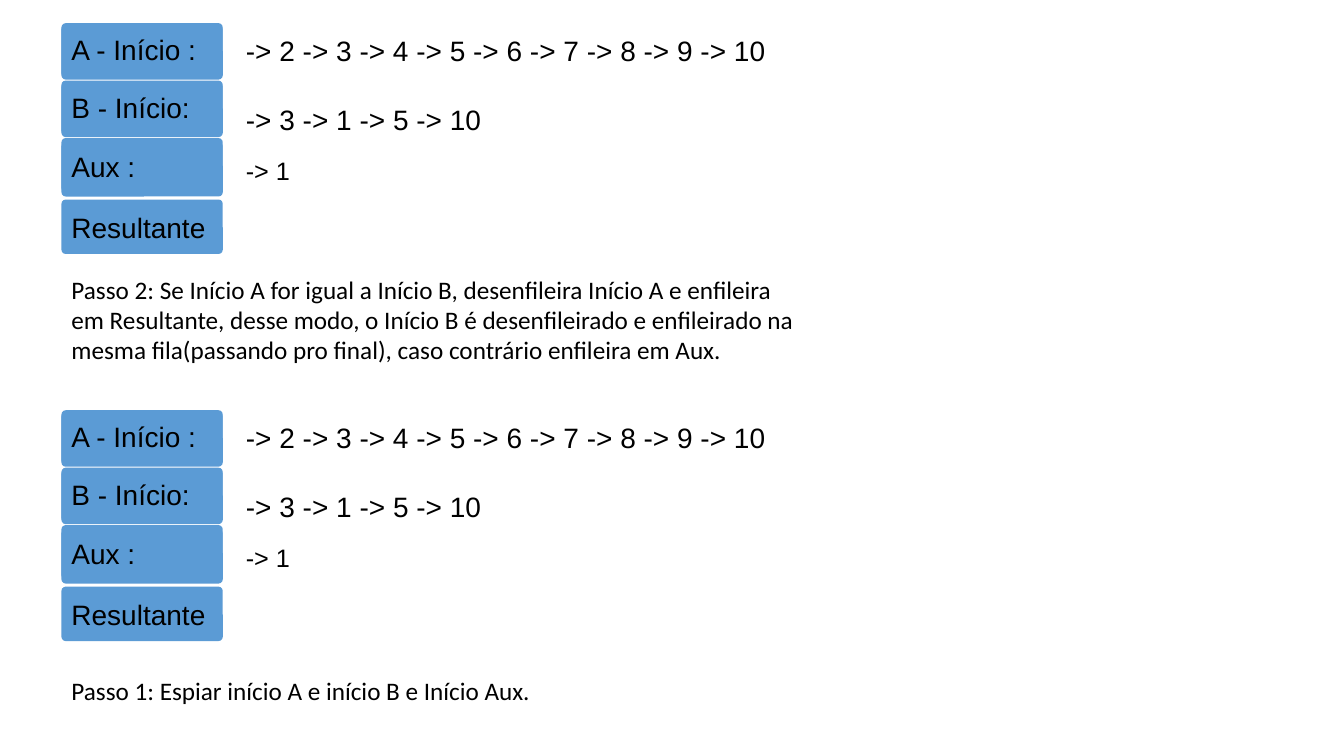
from pptx import Presentation
from pptx import util as u
from pptx.dml import color
from pptx.enum import shapes, text

BLUE, BLACK = "5B9BD5", "000000"
LEFT, WIDE, HIGH = 0.61, 1.6, 0.54
LIST_X = 2.34
STEP = 3.84  # distance between the two queue panels

# Tops within a panel: the back layer, then the front layer
PLATES = [1.98, 0.23, 0.8, 1.37, 0.25, 0.82, 1.41]
LABELS = [
    ("Aux :", 1.43, 1.07),
    ("A - Início :", 0.27, WIDE),
    ("B - Início:", 0.85, WIDE),
    ("Resultante", 2.04, WIDE),
]
QUEUES = [
    ("-> 2 -> 3 -> 4 -> 5 -> 6 -> 7 -> 8 -> 9 -> 10", 0.28, 6.04, {}),
    ("-> 3 -> 1 -> 5 -> 10", 0.97, 2.61, {}),
    ("-> 1", 1.49, 0.71, {"size": 18, "high": 0.4, "wrap": False}),
]
NOTES = [
    ("Passo 2: Se Início A for igual a Início B, desenfileira Início A e "
     "enfileira em Resultante, desse modo, o Início B é desenfileirado e "
     "enfileirado na mesma fila(passando pro final), caso contrário "
     "enfileira em Aux.", 2.67, 7.51, 1.01),
    ("Passo 1: Espiar início A e início B e Início Aux.", 6.65, 4.88, 0.4),
]


def rgb(code):
    return color.RGBColor.from_string(code)


def box(x, y, w, h):
    return [u.Inches(v) for v in (x, y, w, h)]


def write(home, words, x, y, w, high=0.44, size=20, face="Arial", wrap=True):
    frame = home.add_textbox(*box(x, y, w, high)).text_frame
    frame.word_wrap = wrap
    frame.auto_size = text.MSO_AUTO_SIZE.SHAPE_TO_FIT_TEXT
    run = frame.paragraphs[0].add_run()
    run.text = words
    run.font.size = u.Pt(size)
    run.font.name = face
    run.font.color.rgb = rgb(BLACK)


def plate(home, y):
    shape = home.add_shape(shapes.MSO_SHAPE.ROUNDED_RECTANGLE,
                           *box(LEFT, y, WIDE, HIGH))
    shape.adjustments[0] = 0.078
    shape.shadow.inherit = False
    shape.fill.solid()
    shape.fill.fore_color.rgb = rgb(BLUE)
    shape.line.fill.background()


def panel(home, top):
    # Labelled plates, kept together as one group
    group = home.add_group_shape().shapes
    for y in PLATES:
        plate(group, top + y)
    for words, y, w in LABELS:
        write(group, words, LEFT, top + y, w)
    # Queue contents
    for words, y, w, form in QUEUES:
        write(home, words, LIST_X, top + y, w, **form)


def main():
    deck = Presentation()
    deck.slide_width = u.Inches(13.33)
    deck.slide_height = u.Inches(7.5)
    home = deck.slides.add_slide(deck.slide_layouts[6]).shapes

    # Each panel with its step below
    for i, (words, y, w, h) in enumerate(NOTES):
        panel(home, i * STEP)
        write(home, words, LEFT, y, w, high=h, size=18, face="Calibri")

    deck.save("out.pptx")


if __name__ == "__main__":
    main()
